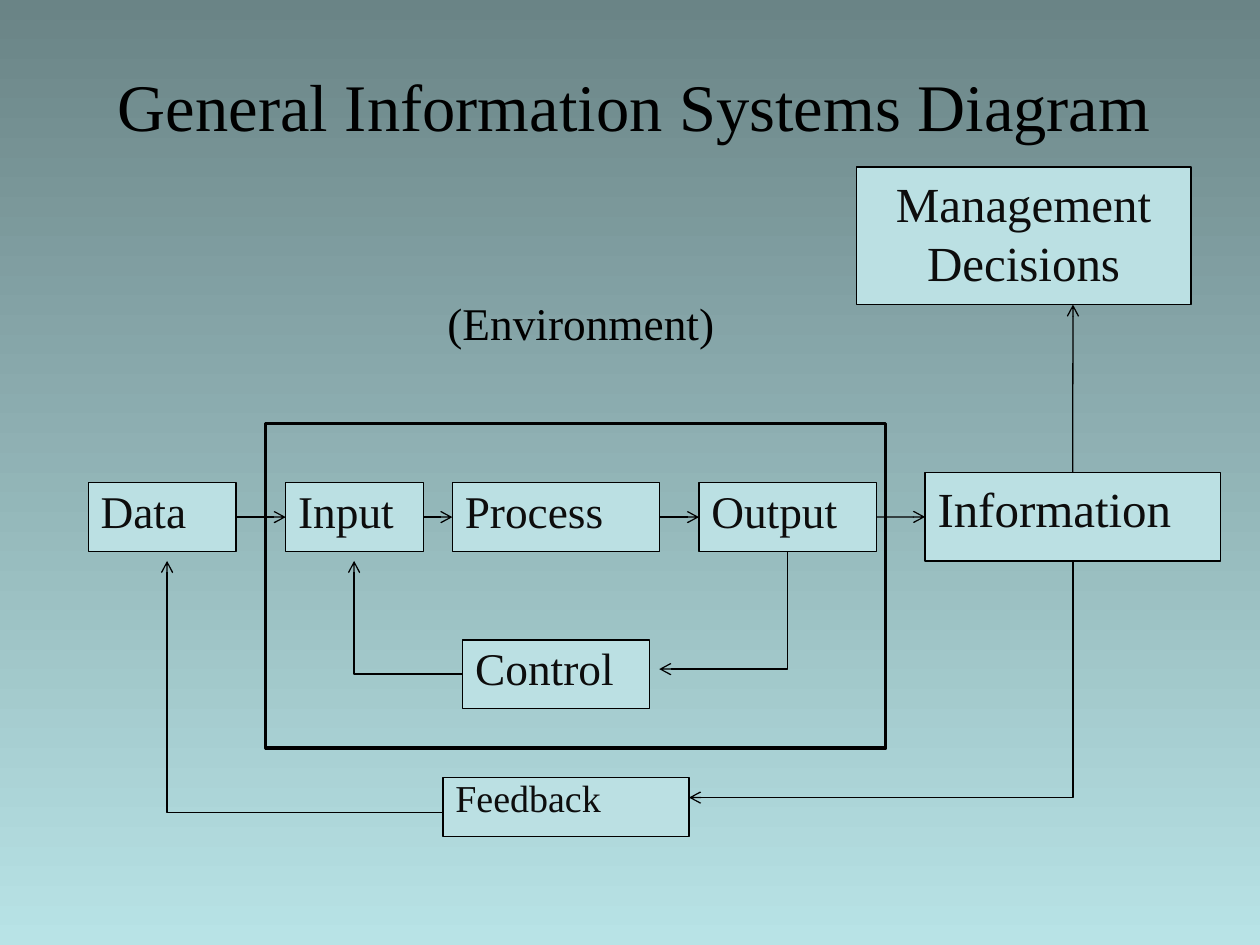
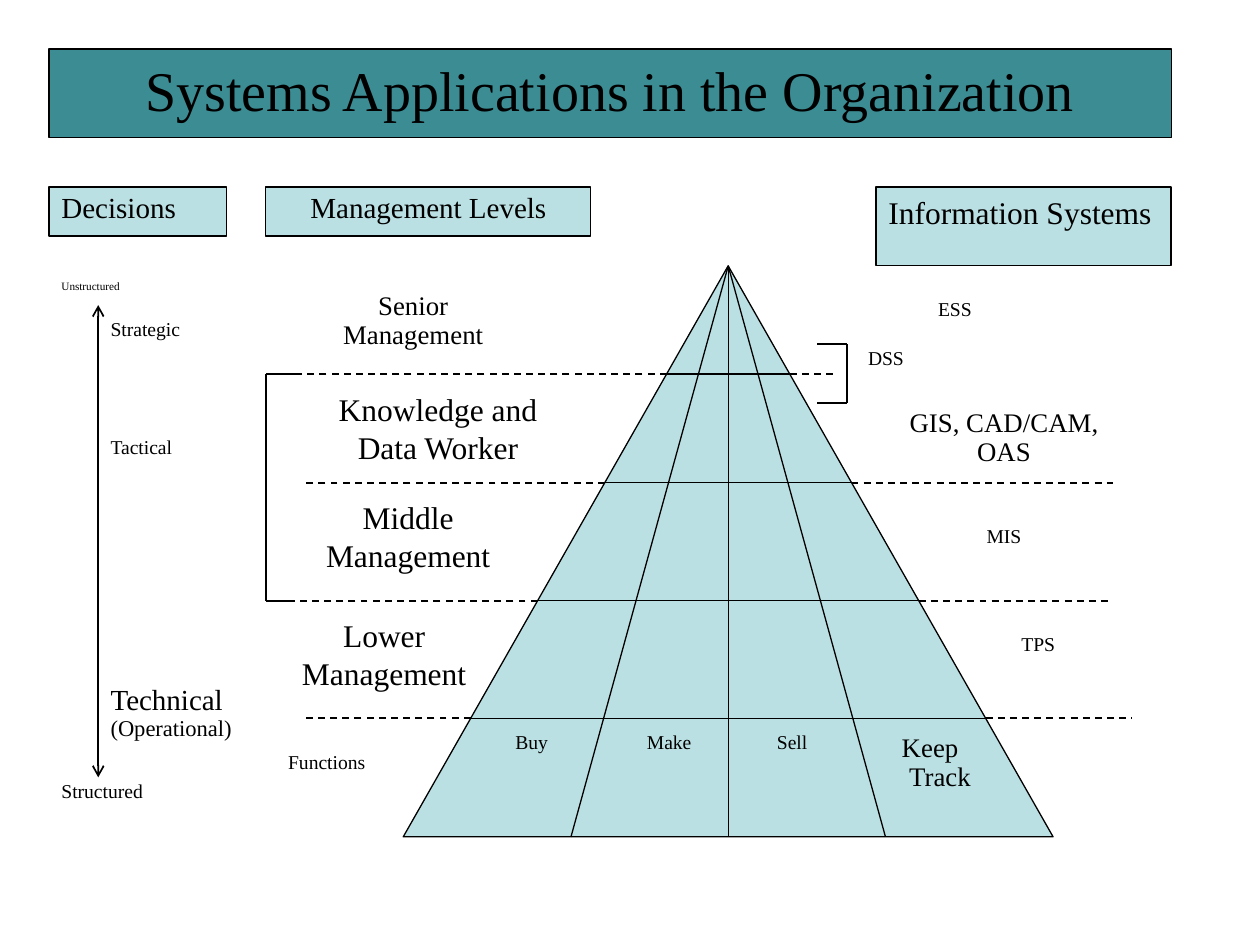
"""Build two slides: an information systems diagram and a pyramid of systems applications."""
from lxml import etree
from pptx import Presentation
from pptx.dml.color import RGBColor
from pptx.enum.dml import MSO_LINE
from pptx.enum.shapes import MSO_CONNECTOR, MSO_SHAPE
from pptx.enum.text import MSO_ANCHOR, PP_ALIGN
from pptx.oxml.ns import qn
from pptx.util import Cm, Pt

RECT, TRIANGLE = MSO_SHAPE.RECTANGLE, MSO_SHAPE.ISOSCELES_TRIANGLE
STRAIGHT, ELBOW = MSO_CONNECTOR.STRAIGHT, MSO_CONNECTOR.ELBOW
LEFT, CENTER = PP_ALIGN.LEFT, PP_ALIGN.CENTER
TOP, DASH = MSO_ANCHOR.TOP, MSO_LINE.DASH
FONT = "Times New Roman"
COLORS = {"box": "BBE0E3", "banner": "3C8C93", "ink": "000000", "label": "0D0D0D",
          "bg_top": "6A8486", "bg_bottom": "B8E3E6"}


def rgb(name):
    return RGBColor.from_string(COLORS[name])


def put(s, text, box, sizes=(), fill=None, weight=None, shape=RECT, align=LEFT,
        spacing=None, color="ink", indent=0):
    """Add a box, outlined if it has a weight; each line of text takes its size from sizes."""
    at = [Cm(v) for v in box]
    if weight:
        sp = s.shapes.add_shape(shape, *at)
        sp.shadow.inherit = False
        sp.line.color.rgb = rgb("ink")
        sp.line.width = Pt(weight)
        if fill:
            sp.fill.solid()
            sp.fill.fore_color.rgb = rgb(fill)
        else:
            sp.fill.background()
    else:
        sp = s.shapes.add_textbox(*at)
    tf = sp.text_frame
    tf.word_wrap = True
    tf.vertical_anchor = TOP
    for i, (row, size) in enumerate(zip(text.split("\n"), sizes)):
        p = tf.add_paragraph() if i else tf.paragraphs[0]
        p.alignment = align
        p.line_spacing = spacing
        if i and indent:
            p._p.get_or_add_pPr().set("marL", str(Cm(indent)))
        r = p.add_run()
        r.text = row
        r.font.name = FONT
        r.font.size = Pt(size)
        r.font.color.rgb = rgb(color)
    return sp


def join(s, x1, y1, x2, y2, weight=0.75, dash=None, arrows=(), corner=False):
    """Draw a line; with corner it runs level first and then upright."""
    c = s.shapes.add_connector(ELBOW if corner else STRAIGHT, Cm(x1), Cm(y1), Cm(x2), Cm(y2))
    c.line.color.rgb = rgb("ink")
    c.line.width = Pt(weight)
    if dash:
        c.line.dash_style = dash
    spPr = c._element.spPr
    if corner:
        spPr.find(qn("a:prstGeom")).set("prst", "bentConnector2")
    for end in arrows:
        etree.SubElement(spPr.find(qn("a:ln")), qn(f"a:{end}"), type="arrow")
    etree.SubElement(spPr, qn("a:effectLst"))
    return c


prs = Presentation()
prs.slide_width, prs.slide_height = Cm(25.4), Cm(19.05)
blank = prs.slide_layouts[6]

s = prs.slides.add_slide(blank)
bg = s.background.fill
bg.gradient()
bg.gradient_angle = 270
for stop, name in zip(bg.gradient_stops, ("bg_top", "bg_bottom")):
    stop.color.rgb = rgb(name)

row_top, row_height = 9.73, 1.39
boxes = {}
for text, box, size, spacing, align in [
    ("Data", (1.78, row_top, 2.98, row_height), 25.9, 0.9, LEFT),
    ("Input", (5.76, row_top, 2.78, row_height), 25.9, 0.9, LEFT),
    ("Process", (9.12, row_top, 4.17, row_height), 25.9, 0.9, LEFT),
    ("Output", (14.09, row_top, 3.58, row_height), 25.9, 0.9, LEFT),
    ("Information", (18.65, 9.53, 5.95, 1.78), 28, None, LEFT),
    ("Control", (9.33, 12.9, 3.77, row_height), 25.9, 0.9, LEFT),
    ("Feedback", (8.93, 15.67, 4.96, 1.19), 21.7, 0.8, LEFT),
    ("Management Decisions", (17.26, 3.37, 6.75, 2.77), 28, None, CENTER),
]:
    boxes[text] = put(s, text, box, [size], fill="box", weight=0.75, align=align,
                      spacing=spacing, color="label")

flow = ["Data", "Input", "Process", "Output", "Information"]
for source, target in zip(flow, flow[1:]):
    c = join(s, 0, 0, 1, 0, arrows=["tailEnd"])
    c.begin_connect(boxes[source], 3)
    c.end_connect(boxes[target], 1)
put(s, "", (5.36, 8.53, 12.5, 6.55), weight=1.75)
for x1, y1, x2, y2, end in [
    (13.29, 13.49, 15.88, 11.12, "headEnd"),
    (9.33, 13.59, 7.14, 11.31, "tailEnd"),
    (8.93, 16.38, 3.37, 11.31, "tailEnd"),
    (13.89, 16.08, 21.63, 11.31, "headEnd"),
]:
    join(s, x1, y1, x2, y2, arrows=[end], corner=True)
c = join(s, 21.63, 9.53, 21.63, 6.14, arrows=["tailEnd"])
c.begin_connect(boxes["Information"], 0)

put(s, "(Environment)", (5.56, 5.95, 12.3, 1.39), [25.9], align=CENTER, spacing=0.9)
put(s, "General Information Systems Diagram", (1.98, 1.19, 21.63, 1.88), [38], align=CENTER)

s = prs.slides.add_slide(blank)
s.background.fill.solid()
s.background.fill.fore_color.rgb = RGBColor(255, 255, 255)

apex_x, apex_y, half_base, height = 14.68, 5.36, 6.55, 11.51
base_y = apex_y + height
put(s, "", (apex_x - half_base, apex_y, 2 * half_base, height), fill="box", weight=0.75,
    shape=TRIANGLE)
for offset in (-3.17, 0, 3.17):
    join(s, apex_x, apex_y, apex_x + offset, base_y)
for y, left, right in [(7.54, 5.94, 16.87), (9.73, 6.15, 22.43),
                       (12.11, 5.94, 22.43), (14.48, 6.15, 22.81)]:
    half = half_base * (y - apex_y) / height
    join(s, apex_x - half, y, apex_x + half, y)
    join(s, apex_x - half, y, left, y, weight=1, dash=DASH)
    join(s, apex_x + half, y, right, y, weight=1, dash=DASH)

for spine, tip, top, bottom in [(17.07, 16.46, 6.94, 8.13), (5.36, 5.94, 7.54, 12.11)]:
    join(s, spine, top, spine, bottom, weight=1)
    for y in (top, bottom):
        join(s, spine, y, tip, y, weight=1)
join(s, 1.98, 6.15, 1.98, 15.67, weight=1, arrows=["headEnd", "tailEnd"])

put(s, "Systems Applications in the Organization", (0.99, 0.99, 22.63, 1.78), [32],
    fill="banner", weight=0.75, align=CENTER)
for text, box, size, spacing, align in [
    ("Decisions", (0.99, 3.77, 3.58, 0.99), 16.6, 0.9, LEFT),
    ("Management Levels", (5.36, 3.77, 6.55, 0.99), 16.6, 0.9, CENTER),
    ("Information Systems", (17.66, 3.77, 5.95, 1.59), 18, None, LEFT),
]:
    put(s, text, box, [size], fill="box", weight=0.75, align=align, spacing=spacing)

for text, x, y, width, size, align in [
    ("Unstructured", 0.99, 5.56, 3.97, 6.4, LEFT),
    ("Strategic", 1.98, 6.35, 3.17, 11.2, LEFT),
    ("Tactical", 1.98, 8.73, 3.17, 11.2, LEFT),
    ("Structured", 0.99, 15.67, 3.77, 11.2, LEFT),
    ("Functions", 5.56, 15.08, 3.37, 11.2, LEFT),
    ("Buy", 9.53, 14.68, 2.38, 11.2, CENTER),
    ("Make", 12.3, 14.68, 2.38, 11.2, CENTER),
    ("Sell", 14.68, 14.68, 2.58, 11.2, CENTER),
    ("ESS", 18.26, 5.95, 1.98, 11.2, CENTER),
    ("DSS", 16.87, 6.94, 1.98, 11.2, CENTER),
    ("MIS", 19.25, 10.52, 1.98, 11.2, CENTER),
    ("TPS", 20.04, 12.7, 1.78, 11.2, CENTER),
]:
    put(s, text, (x, y, width, 0.79), [size], align=align, spacing=0.8)

for text, box, sizes, spacing in [
    ("Senior Management", (5.95, 5.77, 4.76, 1.58), [15.3], 0.9),
    ("Knowledge and Data Worker", (5.95, 7.74, 5.76, 1.78), [18], None),
    ("Middle\nManagement", (5.95, 9.92, 4.56, 1.98), [18, 18], None),
    ("Lower\nManagement", (5.56, 12.3, 4.37, 1.78), [18, 18], None),
    ("GIS, CAD/CAM, OAS", (17.66, 8.13, 5.16, 1.58), [15.3], 0.9),
]:
    put(s, text, box, sizes, align=CENTER, spacing=spacing)
put(s, "Keep\nTrack", (17.26, 14.68, 2.98, 1.59), [15.3, 15.3], align=CENTER, spacing=0.9,
    indent=0.4)
put(s, "Technical\n(Operational)", (1.98, 13.69, 3.58, 1.59), [16.6, 12.9], spacing=0.9)

prs.save("out.pptx")
